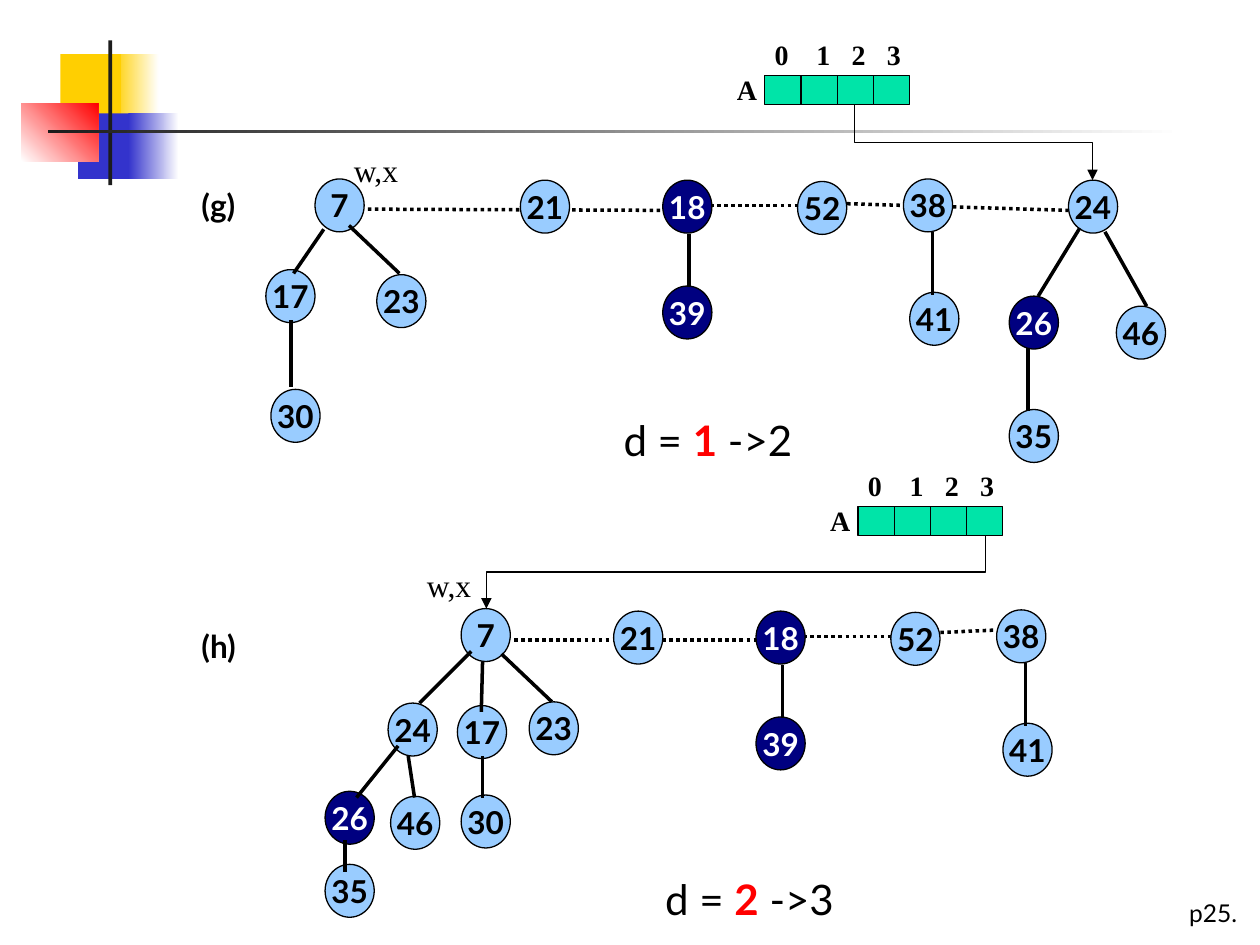
"""Build the Fibonacci-heap consolidation slide, steps (g) and (h)."""
from typing import NamedTuple

from lxml import etree
from pptx import Presentation
from pptx import util as u
from pptx.dml.color import RGBColor
from pptx.enum import dml, shapes, text
from pptx.oxml import ns

COLORS = {
    "ink": "000000", "paper": "FFFFFF", "node": "99CCFF", "marked": "000080",
    "cell": "00E4A8", "degree": "FF0000", "gold": "FFCF01", "blue": "3333CC",
    "red": "FF0000", "rule": "1C1C1C",
}
FORMATS = {
    "key": {"size": u.Pt(18), "name": "Lato", "bold": True},
    "array": {"size": u.Pt(16), "name": "Times New Roman", "bold": True},
    "pointer": {"size": u.Pt(18), "name": "Times New Roman", "bold": False},
    "degree": {"size": u.Pt(24), "name": "Lato", "bold": False},
    "new degree": {"size": u.Pt(24), "name": "Lato", "bold": True},
    "page": {"size": u.Pt(14), "name": "Lato", "bold": False},
}
CELL_WIDTH, CELL_HEIGHT, CELL_COUNT = 1.15 / 4, 0.23, 4
INDEX_TABS = (0.33, 0.61, 0.89)
NODE_WIDTH, NODE_HEIGHT = 0.39, 0.42


class Node(NamedTuple):
    key: str
    left: float
    top: float
    marked: bool = False


class Edge(NamedTuple):
    x1: float
    y1: float
    x2: float
    y2: float


class Band(NamedTuple):
    left: float
    top: float
    width: float
    height: float
    start: str
    end: str = ""
    angle: float = 0


class Label(NamedTuple):
    words: str
    left: float
    top: float
    width: float
    height: float
    style: str


class Panel(NamedTuple):
    dx: float
    dy: float
    nodes: list[Node]
    edges: list[Edge]
    roots: list[Edge]
    arrow: Edge
    labels: list[Label]
    degree: tuple[str, str, float, float]


BANDS = [
    Band(0.9, 0.43, 0.36, 0.52, "gold", "paper"),
    Band(0.48, 0.43, 0.48, 0.52, "gold"),
    Band(0.62, 0.9, 0.46, 0.52, "blue"),
    Band(1.02, 0.9, 0.4, 0.52, "blue", "paper"),
    Band(0.17, 0.82, 0.61, 0.46, "paper", "red", 45),
    Band(0.86, 0.32, 0.03, 1.15, "rule"),
    Band(0.38, 1.03, 9, 0.03, "rule", "paper"),
]
SHARED_NODES = [
    Node("21", 4.13, 1.43), Node("18", 5.26, 1.43, True), Node("39", 5.26, 2.27, True),
    Node("52", 6.33, 1.44), Node("38", 7.17, 1.42), Node("41", 7.22, 2.32),
]
SHARED_EDGES = [Edge(5.47, 1.86, 5.47, 2.28), Edge(7.4, 1.84, 7.4, 2.34)]
SHARED_ROOTS = [Edge(5.3, 1.63, 6.61, 1.63)]
PANELS = [
    Panel(
        0, 0,
        [Node("7", 2.5, 1.42), Node("17", 2.11, 2.14), Node("23", 2.99, 2.18),
         Node("30", 2.15, 3.09), Node("24", 8.48, 1.43), Node("26", 8.01, 2.35, True),
         Node("46", 8.86, 2.43), Node("35", 8.01, 3.25)],
        [Edge(2.57, 1.82, 2.33, 2.17), Edge(2.77, 1.79, 3.17, 2.17),
         Edge(2.31, 2.54, 2.31, 3.07), Edge(8.57, 1.81, 8.24, 2.35),
         Edge(8.77, 1.84, 9.1, 2.43), Edge(8.16, 2.76, 8.16, 3.26)],
        [Edge(2.92, 1.66, 5.33, 1.67), Edge(6.5, 1.61, 8.48, 1.67)],
        Edge(6.78, 0.83, 8.67, 1.43),
        [Label("(g)", 1.5, 1.43, 0.59, 0.4, "key"),
         Label("w,x", 2.71, 1.15, 0.56, 0.4, "pointer")],
        ("1", "2", 4.85, 3.24),
    ),
    Panel(
        0.74, 3.42,
        [Node("7", 3.66, 4.83), Node("24", 3.08, 5.58), Node("17", 3.63, 5.6),
         Node("23", 4.2, 5.57), Node("26", 2.58, 6.28, True), Node("46", 3.1, 6.32),
         Node("30", 3.66, 6.31), Node("35", 2.58, 6.86)],
        [Edge(3.74, 5.17, 3.33, 5.58), Edge(3.83, 5.25, 3.82, 5.65),
         Edge(3.98, 5.19, 4.38, 5.57), Edge(3.16, 5.92, 2.83, 6.33),
         Edge(3.24, 6, 3.29, 6.33), Edge(3.83, 6, 3.83, 6.33),
         Edge(2.74, 6.67, 2.74, 6.92)],
        [Edge(4.08, 5.08, 6.08, 5.08), Edge(7.24, 5.03, 7.91, 5)],
        Edge(7.82, 4.25, 3.86, 4.83),
        [Label("(h)", 1.5, 4.93, 0.59, 0.4, "key"),
         Label("w,x", 3.29, 4.44, 0.56, 0.4, "pointer")],
        ("2", "3", 5.18, 6.88),
    ),
]


def cm(inches: float) -> u.Length:
    """Turn a layout value in inches into a Cm length."""
    return u.Cm(inches * 2.54)


def rgb(name: str) -> RGBColor:
    """Look up a named colour."""
    return RGBColor.from_string(COLORS[name])


def add_run(paragraph, words: str, style: str, color: str = "ink") -> None:
    """Append one formatted run."""
    run = paragraph.add_run()
    run.text = words
    for attribute, value in FORMATS[style].items():
        setattr(run.font, attribute, value)
    run.font.color.rgb = rgb(color)


def add_box(slide, left: float, top: float, width: float, height: float):
    """Add an unwrapped text box and return its paragraph."""
    frame = slide.shapes.add_textbox(cm(left), cm(top), cm(width), cm(height)).text_frame
    frame.word_wrap = False
    return frame.paragraphs[0]


def draw_label(slide, label: Label) -> None:
    """Draw a single-style label."""
    add_run(add_box(slide, *label[1:5]), label.words, label.style)


def add_preset(slide, preset, left: float, top: float, width: float, height: float):
    """Add a preset shape without shadow."""
    shape = slide.shapes.add_shape(preset, cm(left), cm(top), cm(width), cm(height))
    shape.shadow.inherit = False
    return shape


def paint(shape, fill: str) -> None:
    """Give a shape a solid fill and a thin outline."""
    shape.fill.solid()
    shape.fill.fore_color.rgb = rgb(fill)
    shape.line.color.rgb = rgb("ink")
    shape.line.width = u.Pt(0.75)


def draw_band(slide, band: Band) -> None:
    """Draw one plain or graded rectangle of the decoration."""
    shape = add_preset(slide, shapes.MSO_SHAPE.RECTANGLE, *band[:4])
    shape.line.fill.background()
    if not band.end:
        shape.fill.solid()
        shape.fill.fore_color.rgb = rgb(band.start)
        return
    shape.fill.gradient()
    shape.fill.gradient_angle = band.angle
    for stop, color in zip(shape.fill.gradient_stops, (band.start, band.end)):
        stop.color.rgb = rgb(color)


def draw_node(slide, node: Node) -> None:
    """Draw one heap node with its key."""
    oval = add_preset(slide, shapes.MSO_SHAPE.OVAL, node.left, node.top, NODE_WIDTH, NODE_HEIGHT)
    paint(oval, "marked" if node.marked else "node")
    frame = oval.text_frame
    layout = {"word_wrap": False, "vertical_anchor": text.MSO_ANCHOR.MIDDLE, "margin_left": 0,
              "margin_right": 0, "margin_top": 0, "margin_bottom": 0}
    for attribute, value in layout.items():
        setattr(frame, attribute, value)
    frame.paragraphs[0].alignment = text.PP_ALIGN.CENTER
    add_run(frame.paragraphs[0], node.key, "key", "paper" if node.marked else "ink")


def draw_edge(slide, edge: Edge, kind=shapes.MSO_CONNECTOR.STRAIGHT, width=2, dash=None):
    """Draw a connector without shadow."""
    link = slide.shapes.add_connector(kind, *map(cm, edge))
    link.line.color.rgb = rgb("ink")
    link.line.width = u.Pt(width)
    if dash:
        link.line.dash_style = dash
    etree.SubElement(link._element.spPr, ns.qn("a:effectLst"))
    return link


def draw_arrow(slide, arrow: Edge) -> None:
    """Draw an elbow arrow that leaves and arrives vertically."""
    x, y = (arrow.x1 + arrow.x2) / 2, (arrow.y1 + arrow.y2) / 2
    rightward = arrow.x2 > arrow.x1
    half_drop = (arrow.y2 - arrow.y1) / 2 * (-1 if rightward else 1)
    half_run = abs(arrow.x2 - arrow.x1) / 2
    turned = Edge(x - half_drop, y - half_run, x + half_drop, y + half_run)
    link = draw_edge(slide, turned, shapes.MSO_CONNECTOR.ELBOW, 0.75)
    properties = link._element.spPr
    properties.find(ns.qn("a:xfrm")).set("rot", str((270 if rightward else 90) * 60000))
    etree.SubElement(properties.find(ns.qn("a:ln")), ns.qn("a:tailEnd"), type="triangle")


def draw_array(slide, left: float, top: float) -> None:
    """Draw the degree array A with its indices."""
    for index in range(CELL_COUNT):
        paint(add_preset(slide, shapes.MSO_SHAPE.RECTANGLE, left + index * CELL_WIDTH, top,
                         CELL_WIDTH, CELL_HEIGHT), "cell")
    indices = add_box(slide, left - 0.02, top - 0.35, 1.32, 0.37)
    stops = etree.SubElement(indices._p.get_or_add_pPr(), ns.qn("a:tabLst"))
    for position in INDEX_TABS:
        etree.SubElement(stops, ns.qn("a:tab"), pos=str(int(cm(position))), algn="l")
    add_run(indices, "\t".join(map(str, range(CELL_COUNT))), "array")
    draw_label(slide, Label("A", left - 0.32, top - 0.07, 0.36, 0.37, "array"))


def draw_panel(slide, panel: Panel) -> None:
    """Draw one step of the consolidation."""
    dx, dy = panel.dx, panel.dy
    shift = lambda e: Edge(e.x1 + dx, e.y1 + dy, e.x2 + dx, e.y2 + dy)
    for root in panel.roots + [shift(e) for e in SHARED_ROOTS]:
        draw_edge(slide, root, dash=dml.MSO_LINE.ROUND_DOT)
    for node in panel.nodes + [n._replace(left=n.left + dx, top=n.top + dy) for n in SHARED_NODES]:
        draw_node(slide, node)
    for edge in panel.edges + [shift(e) for e in SHARED_EDGES]:
        draw_edge(slide, edge)
    draw_array(slide, 6.07 + dx, 0.6 + dy)
    draw_arrow(slide, panel.arrow)
    for label in panel.labels:
        draw_label(slide, label)
    old, new, left, top = panel.degree
    degree = add_box(slide, left, top, 1.72, 0.51)
    add_run(degree, "d = ", "degree")
    add_run(degree, old, "new degree", "degree")
    add_run(degree, f" ->{new}", "degree")


def main() -> None:
    """Assemble and save the slide."""
    deck = Presentation()
    deck.slide_width, deck.slide_height = cm(10), cm(7.5)
    slide = deck.slides.add_slide(deck.slide_layouts[6])
    for band in BANDS:
        draw_band(slide, band)
    draw_label(slide, Label("p25.", 9.34, 7.08, 0.66, 0.33, "page"))
    for panel in PANELS:
        draw_panel(slide, panel)
    deck.save("out.pptx")


if __name__ == "__main__":
    main()
